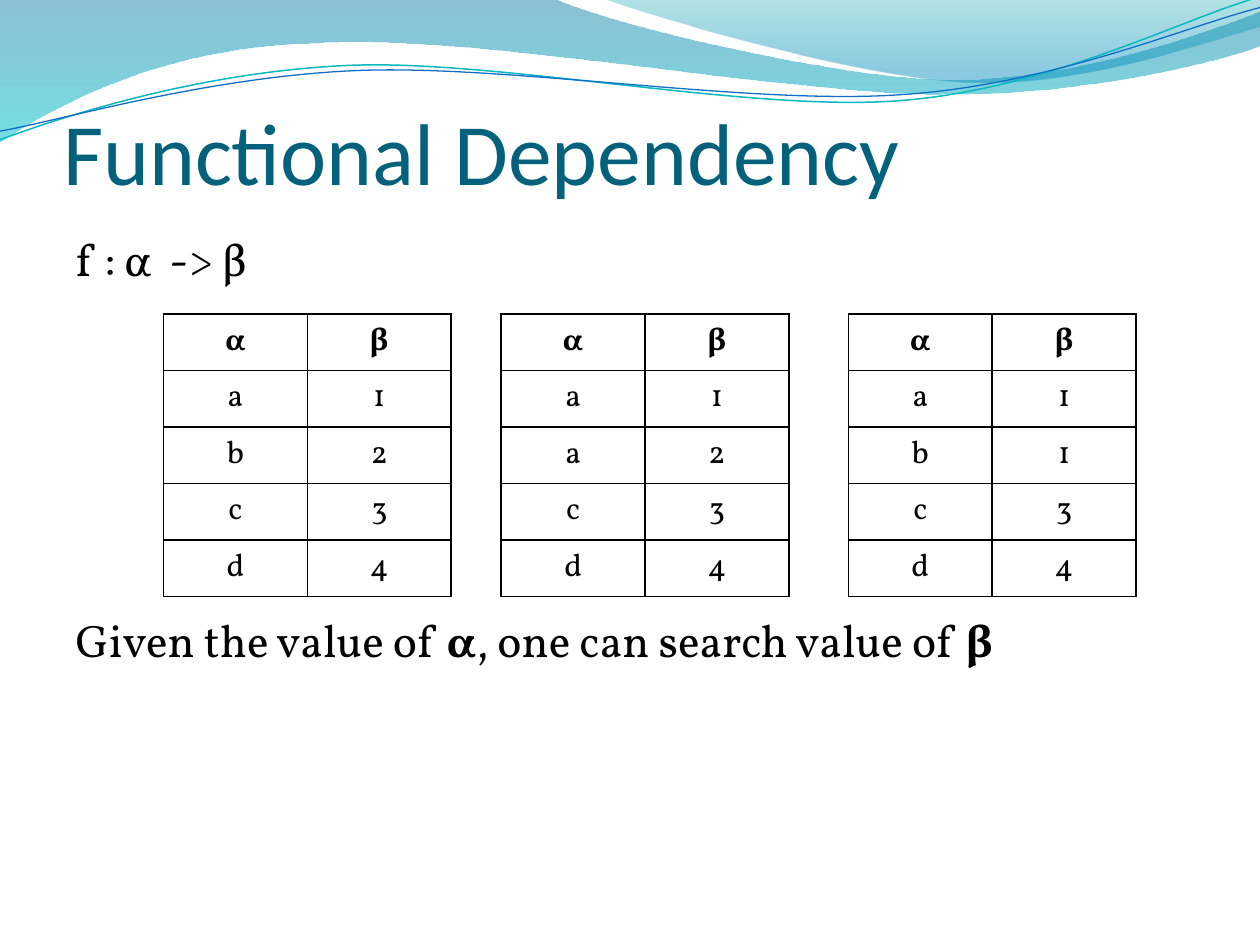
from pptx import Presentation
from pptx.dml.color import RGBColor
from pptx.enum.text import MSO_ANCHOR as Anchor, MSO_AUTO_SIZE as AutoSize, PP_ALIGN as Align
from pptx.oxml import parse_xml
from pptx.oxml.ns import nsdecls, qn
from pptx.util import Pt


def color(hex_string):
    return RGBColor.from_string(hex_string)


def add_run(paragraph, text, size, font_name, hex_string, bold=False):
    run = paragraph.add_run()
    run.text = text
    font = run.font
    font.size, font.name, font.bold = Pt(size), font_name, bold
    font.color.rgb = color(hex_string)


presentation = Presentation()
presentation.slide_width, presentation.slide_height = Pt(720), Pt(540)
slide = presentation.slides.add_slide(presentation.slide_layouts[1])
shapes = slide.shapes

# A segment holds one point for a straight line, three for a Bézier curve.
broad_wave = [
    [(0, 0)],
    [(316.8, -0.7)],
    [(342.7, 12.2), (478.1, 45.4), (545.8, 45.4)],
    [(614.2, 45.4), (689.8, 18.7), (720, 6.5)],
    [(720.7, 25.9)],
    [(707.8, 31.7), (626.4, 54.7), (537.1, 54)],
    [(447.8, 54), (275, 20.2), (185, 24.5)],
    [(92.9, 25.9), (33.1, 59.8), (-0.7, 81.4)],
]
right_wave = [
    [(344.9, -0.7)],
    [(366.5, 7.9), (491, 44.6), (553.7, 46.8)],
    [(616.3, 49.7), (691.9, 23), (720, 15.1)],
    [(720, 0)],
]
teal_line = [
    [(0, 79.9)],
    [(34.6, 67), (113.8, 41), (199.4, 37.4)],
    [(284.4, 33.8), (427, 64.1), (513.4, 57.6)],
    [(599.8, 51.1), (675.4, 10.8), (718.6, -1.4)],
]
blue_line = [
    [(0, 74.9)],
    [(33.8, 69.1), (118.1, 43.9), (203.8, 40.3)],
    [(290.2, 36.7), (429.8, 60.5), (516.2, 54)],
    [(601.9, 48.2), (677.5, 15.1), (720, 4.3)],
]
waves = [
    (broad_wave, [("0074A1", 45, 0), ("00C6CF", 55, 1)], None),
    (right_wave, [("00A1A9", 30, 0), ("008BBF", 45, 0.8)], None),
    (teal_line, None, ("0AB8BF", 0.85)),
    (blue_line, None, ("0F6FC6", 0.75)),
]
for segments, gradient, outline in waves:
    vertices = [(Pt(x), Pt(y)) for segment in segments for x, y in segment]
    builder = shapes.build_freeform(*vertices[0])
    builder.add_line_segments(vertices[1:], close=gradient is not None)
    wave = builder.convert_to_shape()
    line_steps = iter(list(wave._element.iter(qn("a:lnTo"))))
    for segment in segments[1:]:
        first, *others = [next(line_steps) for _ in segment]
        if others:
            first.tag = qn("a:cubicBezTo")
            for step in others:
                first.append(step[0])
                step.getparent().remove(step)
    wave.shadow.inherit = False
    if gradient:
        wave.line.fill.background()
        wave.fill.gradient()
        wave.fill.gradient_angle = 270
        for stop, (hex_string, opacity, position) in zip(wave.fill.gradient_stops, gradient):
            stop.position = position
            stop.color.rgb = color(hex_string)
            stop._gs[0].append(parse_xml(f'<a:alpha {nsdecls("a")} val="{opacity * 1000}"/>'))
    else:
        wave.fill.background()
        wave.line.color.rgb = color(outline[0])
        wave.line.width = Pt(outline[1])

title, body = shapes.title, slide.placeholders[1]
for placeholder, top, height in ((title, 26, 90), (body, 128.5, 345.6)):
    placeholder.left, placeholder.top = Pt(36), Pt(top)
    placeholder.width, placeholder.height = Pt(648), Pt(height)
    placeholder.text_frame.auto_size = AutoSize.NONE
    shapes._spTree.append(placeholder._element)

title_frame = title.text_frame
title_frame.vertical_anchor = Anchor.BOTTOM
title_frame.margin_left = title_frame.margin_right = title_frame.margin_bottom = 0
title_frame.paragraphs[0].alignment = Align.LEFT
add_run(title_frame.paragraphs[0], "Functional Dependency", 50, "Calibri", "04617B")

body_lines = [
    (2.4, [("f : α  -> β", False)]),
    (186.2, [("Given the value of ", False), ("α", True), (", one can search value of ", False), ("β", True)]),
]
frame = body.text_frame
for index, (space_before, runs) in enumerate(body_lines):
    paragraph = frame.add_paragraph() if index else frame.paragraphs[0]
    paragraph.space_before = Pt(space_before)
    properties = paragraph._p.get_or_add_pPr()
    properties.set("marL", "0")
    properties.set("indent", "0")
    properties.append(parse_xml(f'<a:buNone {nsdecls("a")}/>'))
    for text, bold in runs:
        add_run(paragraph, text, 26, "Vollkorn", "000000", bold)

tables = [
    (93.5, "abcd", "1234"),
    (286.4, "aacd", "1234"),
    (484.8, "abcd", "1134"),
]
for left, alphas, betas in tables:
    rows = [("α", "β"), *zip(alphas, betas)]
    table = shapes.add_table(len(rows), 2, Pt(left), Pt(179.3), Pt(164.4), Pt(153.5)).table
    table.first_row = table.horz_banding = False
    for row_index, row in enumerate(rows):
        for column_index, text in enumerate(row):
            cell = table.cell(row_index, column_index)
            for side in ("lnL", "lnR", "lnT", "lnB"):
                cell._tc.get_or_add_tcPr().append(parse_xml(
                    f'<a:{side} {nsdecls("a")} w="{Pt(1)}"><a:solidFill>'
                    f'<a:srgbClr val="000000"/></a:solidFill></a:{side}>'))
            cell.fill.background()
            paragraph = cell.text_frame.paragraphs[0]
            paragraph.alignment = Align.CENTER
            add_run(paragraph, text, 18, "Vollkorn", "000000", row_index == 0)

presentation.save("out.pptx")
